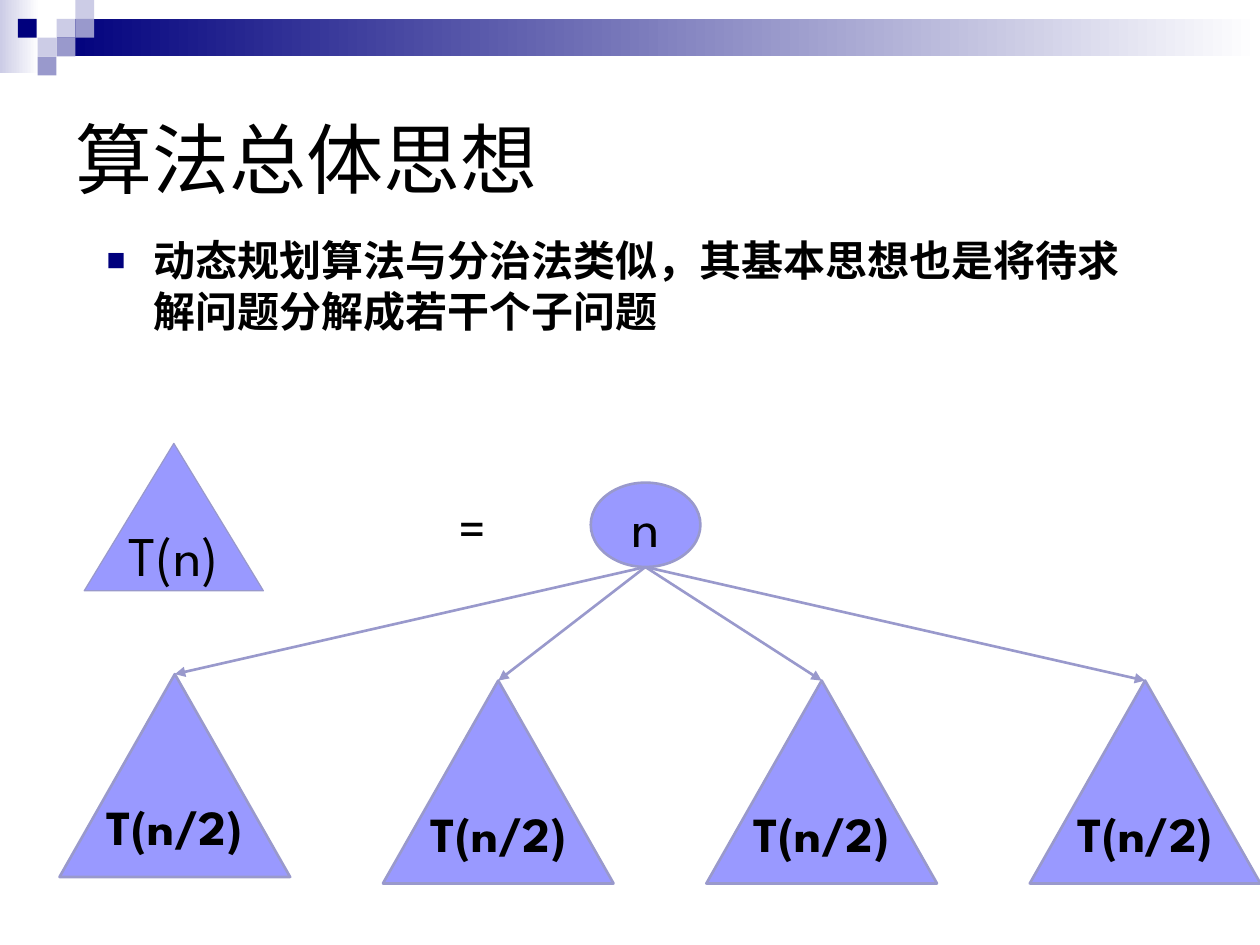
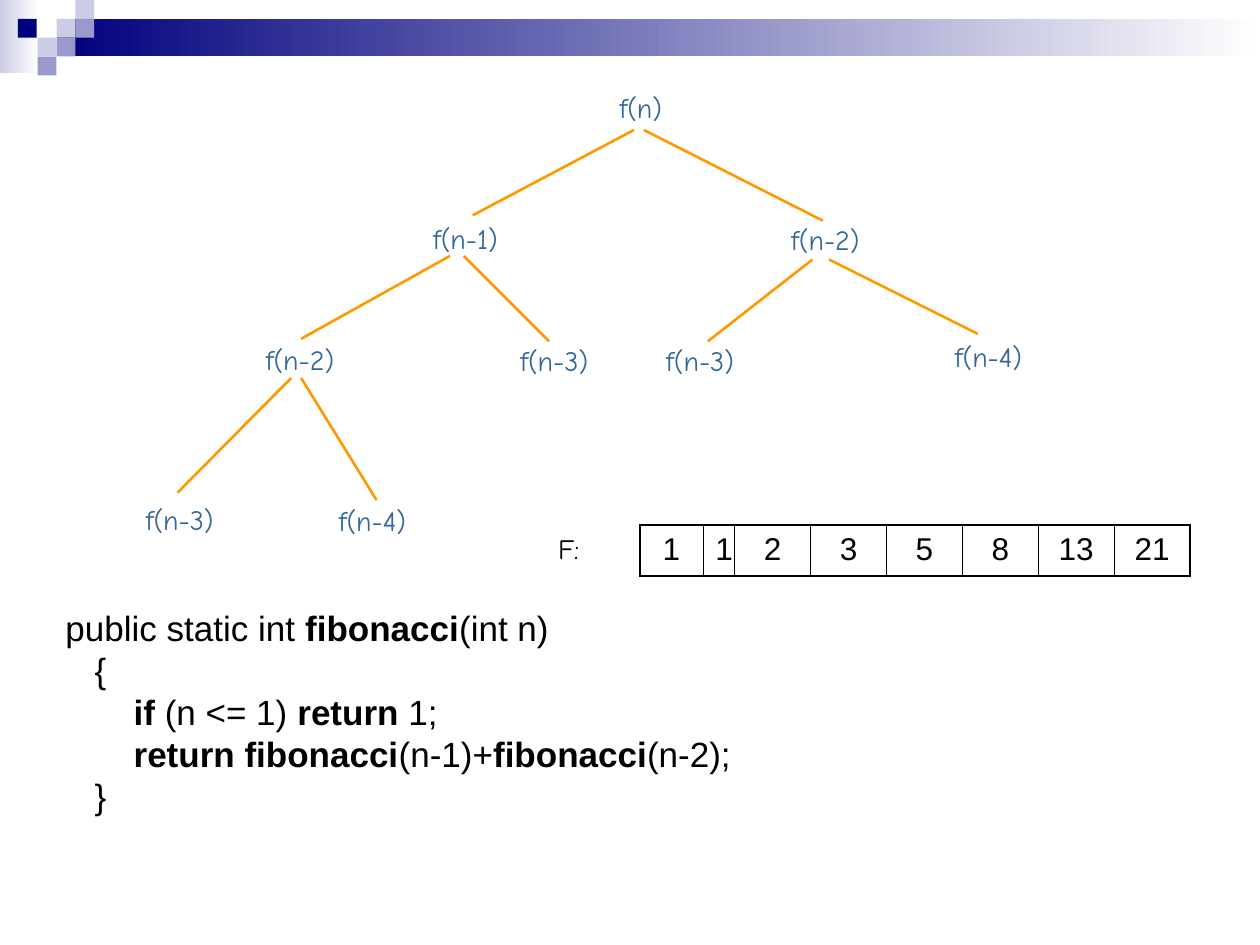
"""Build two slides on dynamic programming: the divide step and the Fibonacci call tree."""
from lxml import etree
from pptx import Presentation
from pptx.dml.color import RGBColor
from pptx.enum.shapes import MSO_CONNECTOR, MSO_SHAPE
from pptx.enum.text import MSO_ANCHOR, PP_ALIGN
from pptx.oxml.ns import qn
from pptx.util import Cm, Pt

RECTANGLE, OVAL, TRIANGLE = MSO_SHAPE.RECTANGLE, MSO_SHAPE.OVAL, MSO_SHAPE.ISOSCELES_TRIANGLE
STRAIGHT = MSO_CONNECTOR.STRAIGHT
TOP, MIDDLE = MSO_ANCHOR.TOP, MSO_ANCHOR.MIDDLE
LEFT, CENTER = PP_ALIGN.LEFT, PP_ALIGN.CENTER

NAVY = RGBColor(0x00, 0x00, 0x7D)
PALE = RGBColor(0xCC, 0xCC, 0xE6)
LILAC = RGBColor(0x99, 0x99, 0xCC)
VIOLET = RGBColor(0x99, 0x99, 0xFF)
ORANGE = RGBColor(0xFF, 0x99, 0x00)
BLUE = RGBColor(0x33, 0x66, 0x99)
WHITE = RGBColor(0xFF, 0xFF, 0xFF)
BLACK = RGBColor(0x00, 0x00, 0x00)

CJK = "Noto Sans CJK SC"
TITLE = {"name": "Arial", "size": Pt(44)}
BULLET = {"name": CJK, "size": Pt(24), "bold": True}
NODE = {"name": "League Spartan", "size": Pt(32)}
SUBPROBLEM = {"name": "League Spartan", "size": Pt(28), "bold": True}
TREE = {"name": "Comic Neue", "size": Pt(16)}
CODE = {"name": "Arial", "size": Pt(20)}
CELL = {"name": "Arial", "size": Pt(18)}


def write_text(frame, lines, font_format, color=BLACK, align=LEFT, anchor=TOP, wrap=True, spacing=None):
    """Fill a text frame; in each line, every second part between asterisks is bold."""
    frame.word_wrap = wrap
    frame.vertical_anchor = anchor
    for number, line in enumerate(lines):
        para = frame.add_paragraph() if number else frame.paragraphs[0]
        para.alignment = align
        para.line_spacing = spacing
        for index, part in enumerate(line.split("*")):
            if not part:
                continue
            span = para.add_run()
            span.text = part
            for key, value in font_format.items():
                setattr(span.font, key, value)
            if index % 2:
                span.font.bold = True
            span.font.color.rgb = color
            etree.SubElement(span.font._element, qn("a:ea"), typeface=CJK)


def draw_line(page, start, end, color, arrow=False):
    """Draw a straight line, with an arrowhead at its end if asked."""
    line = page.shapes.add_connector(STRAIGHT, *map(Cm, start + end))
    line.line.color.rgb = color
    line.line.width = Pt(1.5)
    if arrow:
        etree.SubElement(line.line._get_or_add_ln(), qn("a:tailEnd"), type="triangle")
    etree.SubElement(line._element.spPr, qn("a:effectLst"))


deck = Presentation()
deck.slide_width, deck.slide_height = Cm(25.4), Cm(19.05)
idea_page, tree_page = [deck.slides.add_slide(deck.slide_layouts[6]) for _ in range(2)]

TILE = 0.38
BAND = [
    (0, 0, 0.79, 1.47, PALE, True),
    (1.14, TILE, 24.26, 0.76, NAVY, True),
    (1.14, TILE, TILE, TILE, PALE, False),
    (1.52, 0, TILE, TILE, PALE, False),
    (1.52, TILE, TILE, TILE, LILAC, False),
    (0.76, 0.76, TILE, TILE, PALE, False),
    (0.36, TILE, TILE, TILE, NAVY, False),
    (1.14, 0.76, TILE, TILE, LILAC, False),
    (0.76, 1.14, TILE, TILE, LILAC, False),
]
for page in (idea_page, tree_page):
    for *place, color, fades in BAND:
        tile = page.shapes.add_shape(RECTANGLE, *map(Cm, place))
        tile.shadow.inherit = False
        tile.line.fill.background()
        if fades:
            tile.fill.gradient()
            tile.fill.gradient_angle = 0
            for stop, stop_color in zip(tile.fill.gradient_stops, (color, WHITE)):
                stop.color.rgb = stop_color
        else:
            tile.fill.solid()
            tile.fill.fore_color.rgb = color

title = idea_page.shapes.add_textbox(Cm(1.27), Cm(1.27), Cm(22.86), Cm(3.81))
write_text(title.text_frame, ["算法总体思想"], TITLE, anchor=MIDDLE)

summary = idea_page.shapes.add_textbox(Cm(1.9), Cm(4.6), Cm(21.6), Cm(3))
properties = summary.text_frame.paragraphs[0]._p.get_or_add_pPr()
properties.set("marL", str(Cm(0.95)))
properties.set("indent", str(-Cm(0.95)))
bullet_color = etree.SubElement(properties, qn("a:buClr"))
etree.SubElement(bullet_color, qn("a:srgbClr"), val=str(NAVY))
etree.SubElement(properties, qn("a:buSzPct"), val="75000")
etree.SubElement(properties, qn("a:buFont"), typeface="Arial")
etree.SubElement(properties, qn("a:buChar"), char="■")
write_text(summary.text_frame, ["动态规划算法与分治法类似，其基本思想也是将待求解问题分解成若干个子问题"],
           BULLET, spacing=Pt(29))

ROOT = (13.01, 11.43)
CHILD_WIDTH, CHILD_STEP = 4.65, 6.52
children = [(1.2 + CHILD_STEP * index, top) for index, top in enumerate((13.59, 13.72, 13.72, 13.72))]
nodes = [
    (OVAL, 11.91, 9.73, 2.21, 1.7, "n", NODE, 1.5),
    (TRIANGLE, 1.7, 8.94, 3.61, 2.97, "T(n)", NODE, 0.75),
]
for left, top in children:
    nodes.append((TRIANGLE, left, top, CHILD_WIDTH, 4.09, "T(n/2)", SUBPROBLEM, 1.5))
    draw_line(idea_page, ROOT, (left + CHILD_WIDTH / 2, top), LILAC, arrow=True)
for kind, *place, label, font_format, outline in nodes:
    node = idea_page.shapes.add_shape(kind, *map(Cm, place))
    node.shadow.inherit = False
    node.fill.solid()
    node.fill.fore_color.rgb = VIOLET
    node.line.color.rgb = LILAC
    node.line.width = Pt(outline)
    write_text(node.text_frame, [label], font_format, align=CENTER, anchor=MIDDLE, wrap=False)

equals = idea_page.shapes.add_textbox(Cm(8.05), Cm(9.8), Cm(2.97), Cm(1.63))
write_text(equals.text_frame, ["="], NODE, align=CENTER, anchor=MIDDLE)

code = tree_page.shapes.add_textbox(Cm(1.07), Cm(12.1), Cm(22.86), Cm(4.5))
write_text(code.text_frame, [
    "public static int *fibonacci*(int n)",
    "   {",
    "       *if* (n <= 1) *return* 1;",
    "       *return fibonacci*(n-1)+*fibonacci*(n-2);",
    "   }",
], CODE, spacing=Pt(24))

CALLS = [
    ("f(n)", 12.24, 1.7, 1.37),
    ("f(n-1)", 8.48, 4.34, 1.83),
    ("f(n-2)", 15.7, 4.37, 1.9),
    ("f(n-2)", 5.11, 6.78, 1.9),
    ("f(n-3)", 10.24, 6.81, 1.88),
    ("f(n-3)", 13.18, 6.81, 1.88),
    ("f(n-4)", 19, 6.73, 1.88),
    ("f(n-3)", 2.69, 10.01, 1.88),
    ("f(n-4)", 6.58, 10.03, 1.88),
]
for label, left, top, width in CALLS:
    box = tree_page.shapes.add_textbox(Cm(left), Cm(top), Cm(width), Cm(0.94))
    write_text(box.text_frame, [label], TREE, color=BLUE, wrap=False)

BRANCHES = [
    ((12.78, 2.62), (9.53, 4.34)),
    ((12.98, 2.62), (16.59, 4.45)),
    ((9.07, 5.16), (6.07, 6.83)),
    ((9.35, 5.16), (11.07, 6.88)),
    ((16.38, 5.23), (14.27, 6.88)),
    ((16.71, 5.23), (19.71, 6.73)),
    ((5.87, 7.62), (3.58, 9.93)),
    ((6.07, 7.62), (7.59, 10.08)),
]
for start, end in BRANCHES:
    draw_line(tree_page, start, end, ORANGE)

values = [1, 1, 2, 3, 5, 8, 13, 21]
widths = [1.27, 0.64] + [1.53] * 6
last = len(values) - 1
frame = tree_page.shapes.add_table(1, len(values), Cm(12.9), Cm(10.59), Cm(sum(widths)), Cm(1.02))
table = frame.table
table.first_row = table.horz_banding = False
table.rows[0].height = Cm(1.02)
for index, (value, width) in enumerate(zip(values, widths)):
    table.columns[index].width = Cm(width)
    cell = table.cell(0, index)
    cell.margin_left = cell.margin_right = Cm(0.25)
    cell.margin_top = cell.margin_bottom = Cm(0.13)
    write_text(cell.text_frame, [str(value)], CELL, align=CENTER)
    borders = {
        "a:lnL": 1.08 if index == 0 else 0.45,
        "a:lnR": 1.08 if index == last else 0.45,
        "a:lnT": 1.08,
        "a:lnB": 1.08,
    }
    cell_properties = cell._tc.get_or_add_tcPr()
    for side, weight in borders.items():
        border = etree.SubElement(cell_properties, qn(side), w=str(Pt(weight)))
        paint = etree.SubElement(border, qn("a:solidFill"))
        etree.SubElement(paint, qn("a:srgbClr"), val=str(BLACK))
    cell.fill.background()

array_name = tree_page.shapes.add_textbox(Cm(11), Cm(10.59), Cm(1.6), Cm(0.94))
write_text(array_name.text_frame, ["F:"], TREE)

deck.save("out.pptx")
